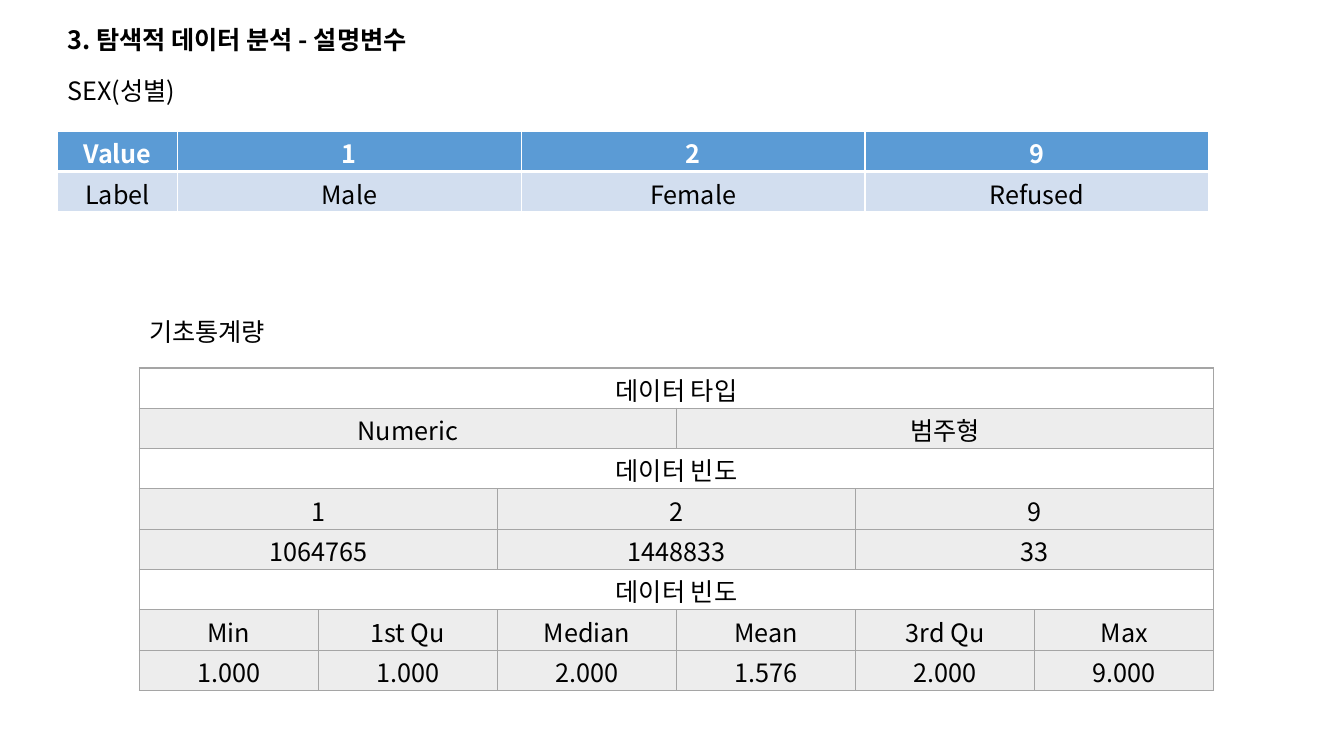
from lxml import etree
from pptx import Presentation
from pptx.dml.color import RGBColor
from pptx.enum.text import MSO_ANCHOR, PP_ALIGN
from pptx.oxml.ns import qn
from pptx.util import Inches, Pt

CENTER, MIDDLE, TOP = PP_ALIGN.CENTER, MSO_ANCHOR.MIDDLE, MSO_ANCHOR.TOP
FONT = "Noto Sans CJK KR"
COLORS = {"black": "000000", "white": "FFFFFF", "blue": "5B9BD5",
          "pale": "D2DEEF", "gray": "A5A5A5", "light": "EDEDED"}
ROW_H = 0.4
LEFT, INDENT = 0.57, 1.38


def write(tf, text, color="black", bold=False):
    r = tf.paragraphs[0].add_run()
    r.text = text
    for name, value in {"name": FONT, "size": Pt(18), "bold": bold}.items():
        setattr(r.font, name, value)
    r.font.color.rgb = RGBColor.from_string(COLORS[color])
    for tag in ("a:ea", "a:cs"):
        etree.SubElement(r.font._element, qn(tag), typeface=FONT)


def format_cell(cell, fill, line, widths):
    """Set margins, borders (widths in points for L, R, T, B) and fill."""
    cell.margin_top, cell.margin_bottom = Inches(0.03), 0
    tcPr = cell._tc.get_or_add_tcPr()
    for side, width in zip("LRTB", widths):
        ln = etree.SubElement(tcPr, qn(f"a:ln{side}"), w=str(Pt(width)))
        solid = etree.SubElement(ln, qn("a:solidFill"))
        etree.SubElement(solid, qn("a:srgbClr"), val=COLORS[line])
    if fill:
        cell.fill.solid()
        cell.fill.fore_color.rgb = RGBColor.from_string(COLORS[fill])
    else:
        cell.fill.background()


prs = Presentation()
prs.slide_width, prs.slide_height = Inches(13.33), Inches(7.5)
s = prs.slides.add_slide(prs.slide_layouts[6])

# Headings
for text, x, y, w, wrap, bold in [
    ("3. 탐색적 데이터 분석 - 설명변수", LEFT, 0.24, 5.99, True, True),
    ("SEX(성별)", LEFT, 0.75, 11.93, True, False),
    ("기초통계량", INDENT, 3.14, 1.46, False, False),
]:
    tf = s.shapes.add_textbox(Inches(x), Inches(y), Inches(w), Inches(ROW_H)).text_frame
    tf.word_wrap = wrap
    tf.margin_top = tf.margin_bottom = 0
    write(tf, text, bold=bold)

# Tables: a row with fewer labels than columns spreads them evenly
code_rows = [["Value", "1", "2", "9"], ["Label", "Male", "Female", "Refused"]]
stat_rows = [
    ["데이터 타입"],
    ["Numeric", "범주형"],
    ["데이터 빈도"],
    ["1", "2", "9"],
    ["1064765", "1448833", "33"],
    ["데이터 빈도"],
    ["Min", "1st Qu", "Median", "Mean", "3rd Qu", "Max"],
    ["1.000", "1.000", "2.000", "1.576", "2.000", "9.000"],
]
for rows, x, y, col_widths, line, anchor in [
    (code_rows, LEFT, 1.3, [1.19] + [3.41] * 3, "white", MIDDLE),
    (stat_rows, INDENT, 3.65, [10.66 / 6] * 6, "gray", TOP),
]:
    n = len(col_widths)
    table = s.shapes.add_table(len(rows), n, Inches(x), Inches(y), Inches(sum(col_widths)),
                               Inches(ROW_H * len(rows))).table
    table.first_row = table.horz_banding = False
    for col, width in zip(table.columns, col_widths):
        col.width = Inches(width)
    for i, labels in enumerate(rows):
        table.rows[i].height = Inches(ROW_H)
        header = rows is code_rows and i == 0
        if rows is code_rows:
            fill = "blue" if header else "pale"
        else:
            fill = "light" if len(labels) > 1 else None
        top = 3 if rows is code_rows and i == 1 else 1
        for j in range(n):
            format_cell(table.cell(i, j), fill, line, (1, 1, top, 3 if header else 1))
        span = n // len(labels)
        for j, text in enumerate(labels):
            cell = table.cell(i, j * span)
            if span > 1:
                cell.merge(table.cell(i, (j + 1) * span - 1))
            cell.vertical_anchor = anchor
            cell.text_frame.paragraphs[0].alignment = CENTER
            write(cell.text_frame, text, "white" if header else "black", header)

prs.save("out.pptx")
